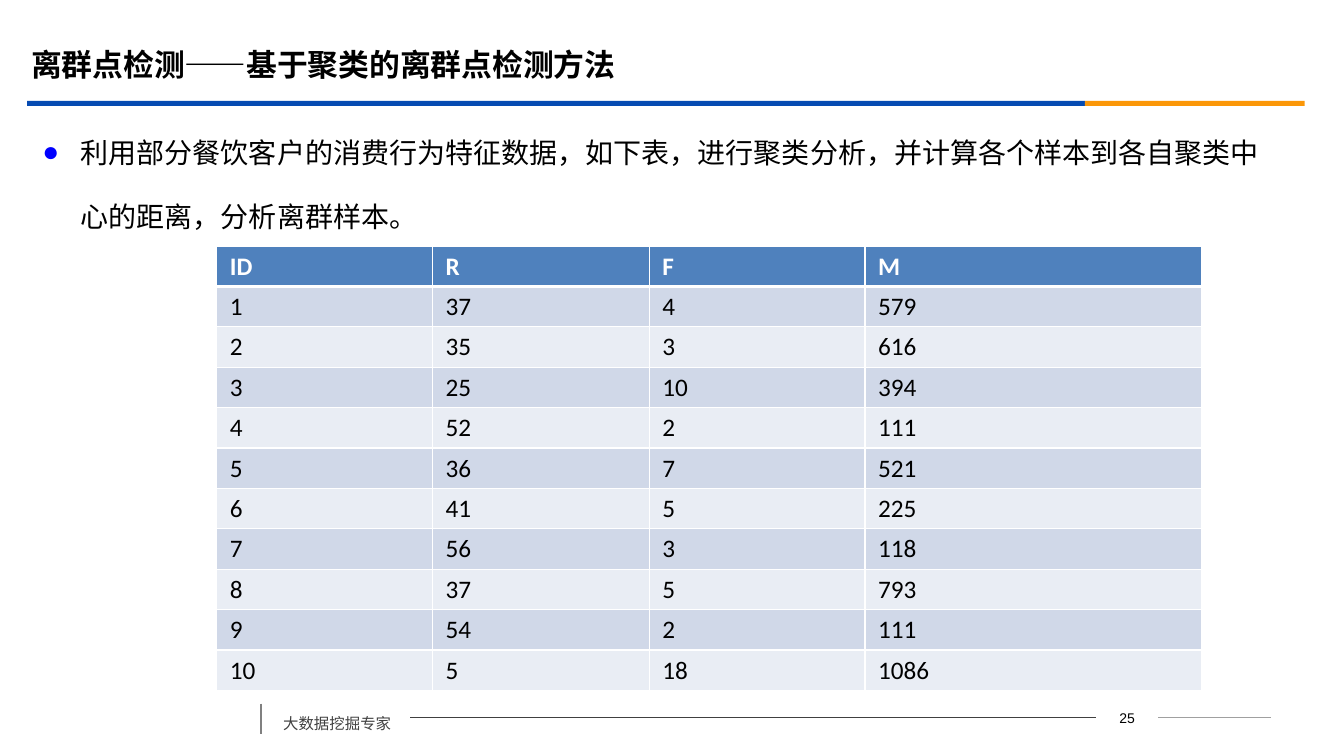
"""Build a slide on cluster-based outlier detection with a customer table."""
from typing import Any, NamedTuple

from lxml import etree
from pptx import Presentation
from pptx.dml.color import RGBColor
from pptx.enum.shapes import MSO_CONNECTOR, MSO_SHAPE
from pptx.enum.text import MSO_ANCHOR, PP_ALIGN
from pptx.oxml.ns import qn
from pptx.util import Inches, Pt

LINE = MSO_CONNECTOR.STRAIGHT
RECT = MSO_SHAPE.RECTANGLE
TOP, MIDDLE = MSO_ANCHOR.TOP, MSO_ANCHOR.MIDDLE
LEFT, CENTER = PP_ALIGN.LEFT, PP_ALIGN.CENTER

BLACK = RGBColor(0, 0, 0)
WHITE = RGBColor(255, 255, 255)
BLUE = RGBColor(0x06, 0x4B, 0xB2)
ORANGE = RGBColor(0xFB, 0x97, 0x08)
DARK = RGBColor(0x40, 0x40, 0x40)
GRAY = RGBColor(0x80, 0x80, 0x80)
PALE = RGBColor(0xA0, 0xA0, 0xA0)
HEAD = RGBColor(0x4F, 0x81, 0xBD)
BANDS = (RGBColor(0xD0, 0xD8, 0xE8), RGBColor(0xE9, 0xED, 0xF4))
DOT = RGBColor(0, 0, 255)
CJK = "Noto Sans CJK SC"


class Bar(NamedTuple):
    left: float
    width: float
    color: RGBColor


class Rule(NamedTuple):
    x: float
    y: float
    end_x: float
    end_y: float
    color: RGBColor
    weight: float


class Label(NamedTuple):
    text: str
    box: tuple[float, float, float, float]
    style: dict[str, Any]


BARS = (Bar(0.27, 10.49, BLUE), Bar(10.76, 2.18, ORANGE))
RULES = (
    Rule(11.49, 7.12, 12.61, 7.12, PALE, 0.75),
    Rule(4.07, 7.12, 10.87, 7.12, DARK, 0.75),
    Rule(2.59, 6.98, 2.59, 7.28, GRAY, 1.25),
)
LABELS = (
    Label("25", (10.87, 6.99, 0.62, 0.25), dict(size=10, font="Arial", align=CENTER)),
    Label("大数据挖掘专家", (2.71, 6.94, 1.36, 0.38), dict(size=11, color=DARK, lead=19.8)),
    Label("离群点检测——基于聚类的离群点检测方法", (0.21, 0.4, 12.13, 0.47),
          dict(size=22, bold=True, anchor=MIDDLE)),
    Label("利用部分餐饮客户的消费行为特征数据，如下表，进行聚类分析，"
          "并计算各个样本到各自聚类中心的距离，分析离群样本。",
          (0.42, 1.04, 12.29, 1.28), dict(size=20, lead=45.7, inset=0, bullet="●")),
)
COLS = (2.14, 2.15, 2.14, 3.34)
ROWS = (
    ("ID", "R", "F", "M"),
    (1, 37, 4, 579),
    (2, 35, 3, 616),
    (3, 25, 10, 394),
    (4, 52, 2, 111),
    (5, 36, 7, 521),
    (6, 41, 5, 225),
    (7, 56, 3, 118),
    (8, 37, 5, 793),
    (9, 54, 2, 111),
    (10, 5, 18, 1086),
)


def write(frame: Any, text: str, *, size: float, font: str = CJK,
          color: RGBColor = BLACK, bold: bool = False, align: Any = LEFT,
          anchor: Any = TOP, lead: float = 0, inset: float = 0.1,
          bullet: str = "") -> None:
    frame.word_wrap = True
    frame.vertical_anchor = anchor
    frame.margin_left = frame.margin_right = Inches(inset)
    frame.margin_top = frame.margin_bottom = Inches(inset / 2)
    para = frame.paragraphs[0]
    para.alignment = align
    if lead:
        para.line_spacing = Pt(lead)
    if bullet:
        mark(para, bullet)
    run = para.add_run()
    run.text = text
    run.font.size, run.font.bold, run.font.name = Pt(size), bold, font
    run.font.color.rgb = color
    etree.SubElement(run.font._element, qn("a:ea")).set("typeface", font)


def mark(para: Any, sign: str) -> None:
    props = para._p.get_or_add_pPr()
    props.set("marL", str(Inches(0.38)))
    props.set("indent", str(Inches(-0.38)))
    tint = etree.SubElement(props, qn("a:buClr"))
    etree.SubElement(tint, qn("a:srgbClr")).set("val", str(DOT))
    etree.SubElement(props, qn("a:buFont")).set("typeface", "Arial")
    etree.SubElement(props, qn("a:buChar")).set("char", sign)


def draw_bar(shapes: Any, bar: Bar) -> None:
    shape = shapes.add_shape(RECT, Inches(bar.left), Inches(1), Inches(bar.width), Inches(0.05))
    shape.shadow.inherit = False
    shape.fill.solid()
    shape.fill.fore_color.rgb = bar.color
    shape.line.fill.background()


def draw_rule(shapes: Any, rule: Rule) -> None:
    line = shapes.add_connector(LINE, *map(Inches, rule[:4]))
    line.line.color.rgb = rule.color
    line.line.width = Pt(rule.weight)
    etree.SubElement(line._element.spPr, qn("a:effectLst"))


def edge(cell: Any, side: str, weight: float) -> None:
    props = cell._tc.get_or_add_tcPr()
    line = etree.SubElement(props, qn(f"a:{side}"), w=str(Pt(weight)))
    fill = etree.SubElement(line, qn("a:solidFill"))
    etree.SubElement(fill, qn("a:srgbClr")).set("val", str(WHITE))


def draw_table(shapes: Any) -> None:
    table = shapes.add_table(len(ROWS), len(COLS), Inches(2.15), Inches(2.44),
                             Inches(sum(COLS)), Inches(4.41)).table
    for col, width in zip(table.columns, COLS):
        col.width = Inches(width)
    for i, row in enumerate(ROWS):
        for j, value in enumerate(row):
            cell = table.cell(i, j)
            for side in ("lnL", "lnR", "lnT", "lnB"):
                thick = (i, side) in ((0, "lnB"), (1, "lnT"))
                edge(cell, side, 3 if thick else 1)
            cell.fill.solid()
            cell.fill.fore_color.rgb = BANDS[(i - 1) % 2] if i else HEAD
            write(cell.text_frame, str(value), size=18, font="Calibri",
                  color=BLACK if i else WHITE, bold=i == 0)
            cell.margin_left = cell.margin_right = Inches(0.13)
            cell.margin_top = cell.margin_bottom = Inches(0.05)


def main() -> None:
    deck = Presentation()
    deck.slide_width, deck.slide_height = Inches(13.33), Inches(7.5)
    shapes = deck.slides.add_slide(deck.slide_layouts[6]).shapes
    for bar in BARS:
        draw_bar(shapes, bar)
    for rule in RULES:
        draw_rule(shapes, rule)
    for label in LABELS:
        box = shapes.add_textbox(*map(Inches, label.box))
        write(box.text_frame, label.text, **label.style)
    draw_table(shapes)
    deck.save("out.pptx")


if __name__ == "__main__":
    main()
